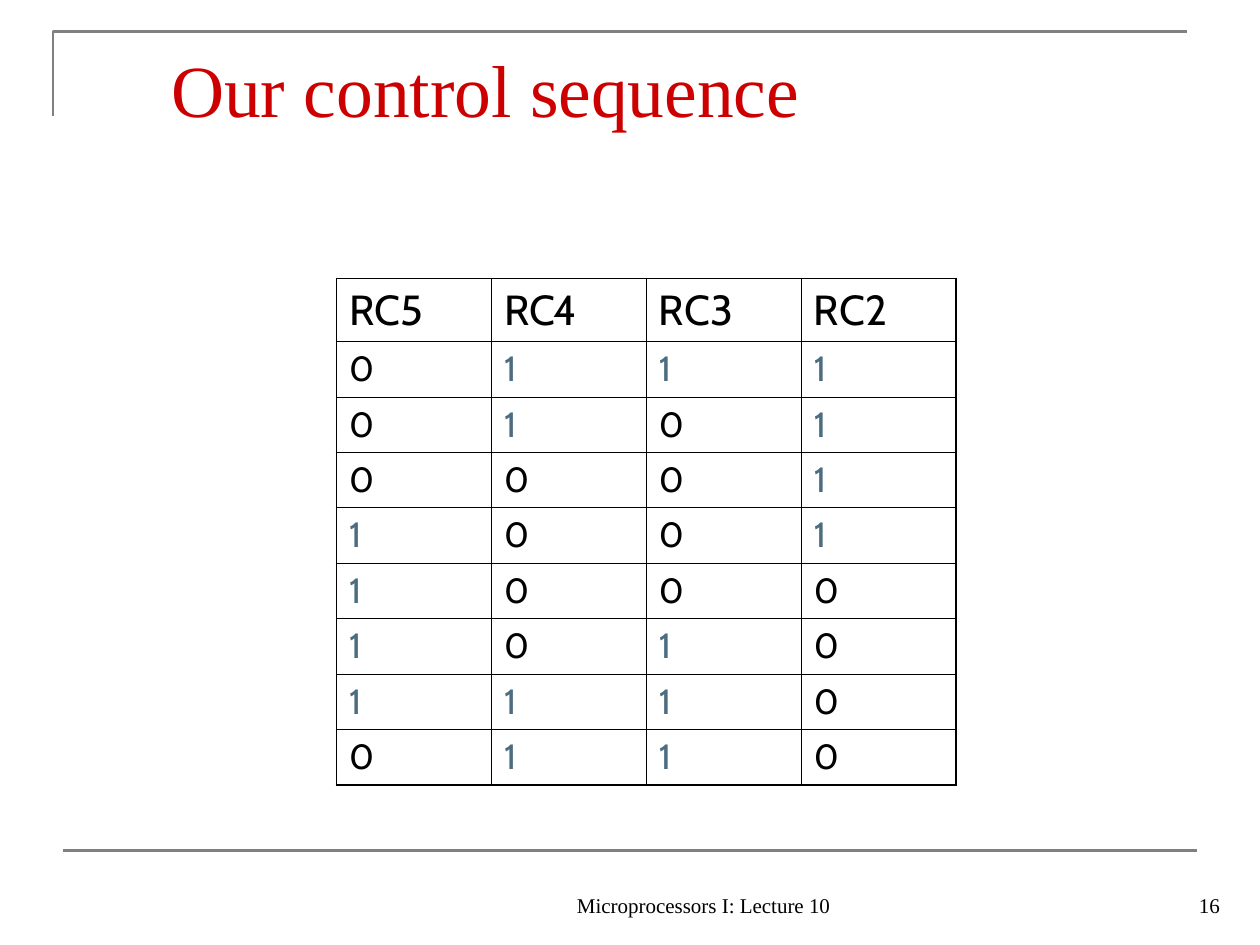
from lxml.etree import SubElement
from pptx import Presentation
from pptx.dml.color import RGBColor
from pptx.enum.shapes import MSO_CONNECTOR
from pptx.enum.text import MSO_ANCHOR, PP_ALIGN
from pptx.oxml.ns import qn
from pptx.util import Inches, Pt

BLACK = RGBColor(0x00, 0x00, 0x00)
GRAY = RGBColor(0x80, 0x80, 0x80)
RED = RGBColor(0xCC, 0x00, 0x00)
STEEL = RGBColor(0x4C, 0x6D, 0x80)

HEADERS = ["RC5", "RC4", "RC3", "RC2"]
SEQUENCE = ["0111", "0101", "0001", "1001", "1000", "1010", "1110", "0110"]


class SlideBuilder:
    """Holds the slide and the style shared by its elements."""

    text_font = "Times New Roman"
    table_font = "Cabin"
    rule_width = Pt(1.5)
    inner_border = Pt(0.45)
    outer_border = Pt(1.08)

    def __init__(self, slide):
        self.slide = slide

    def style(self, para, font_name, size, color):
        para.font.name = font_name
        para.font.size = Pt(size)
        para.font.color.rgb = color

    def text(self, content, left, top, width, height, size, color=BLACK,
             align=PP_ALIGN.LEFT, anchor=MSO_ANCHOR.BOTTOM, margin_top=0.05):
        box = self.slide.shapes.add_textbox(
            Inches(left), Inches(top), Inches(width), Inches(height))
        frame = box.text_frame
        frame.word_wrap = True
        frame.vertical_anchor = anchor
        frame.margin_top = Inches(margin_top)
        para = frame.paragraphs[0]
        para.text = content
        para.alignment = align
        self.style(para, self.text_font, size, color)

    def corner(self, left, top, right, bottom):
        """Draw an open outline along the left and top edges."""
        builder = self.slide.shapes.build_freeform(Inches(left), Inches(bottom))
        builder.add_line_segments(
            [(Inches(left), Inches(top)), (Inches(right), Inches(top))], close=False)
        shape = builder.convert_to_shape()
        shape.shadow.inherit = False
        shape.fill.background()
        shape.line.color.rgb = GRAY
        shape.line.width = self.rule_width

    def rule(self, left, right, y):
        line = self.slide.shapes.add_connector(
            MSO_CONNECTOR.STRAIGHT, Inches(left), Inches(y), Inches(right), Inches(y))
        line.line.color.rgb = GRAY
        line.line.width = self.rule_width
        SubElement(line._element.spPr, qn("a:effectLst"))

    def border(self, cell, side, width):
        properties = cell._tc.get_or_add_tcPr()
        line = SubElement(properties, qn(f"a:ln{side}"), w=str(width))
        fill = SubElement(line, qn("a:solidFill"))
        SubElement(fill, qn("a:srgbClr"), val=str(BLACK))

    def table(self, rows, left, top, column_width, header_height, row_height):
        """Draw a grid with a heavier outer frame; ones are shown in colour."""
        row_count, column_count = len(rows), len(rows[0])
        frame = self.slide.shapes.add_table(
            row_count, column_count, Inches(left), Inches(top),
            Inches(column_width * column_count),
            Inches(header_height + row_height * (row_count - 1)))
        table = frame.table
        table.first_row = table.horz_banding = False
        for column in table.columns:
            column.width = Inches(column_width)
        for r, values in enumerate(rows):
            table.rows[r].height = Inches(row_height if r else header_height)
            for c, value in enumerate(values):
                cell = table.cell(r, c)
                para = cell.text_frame.paragraphs[0]
                para.text = value
                self.style(para, self.table_font, 20 if r else 24,
                           STEEL if value == "1" else BLACK)
                on_frame = {"L": c == 0, "R": c == column_count - 1,
                            "T": r == 0, "B": r == row_count - 1}
                for side, outer in on_frame.items():
                    self.border(cell, side,
                                self.outer_border if outer else self.inner_border)
                cell.fill.background()


def main():
    deck = Presentation()
    deck.slide_width, deck.slide_height = Inches(10), Inches(7.5)
    page = SlideBuilder(deck.slides.add_slide(deck.slide_layouts[6]))

    page.corner(0.42, 0.25, 9.42, 0.92)
    page.rule(0.5, 9.5, 6.75)
    page.text("Microprocessors I: Lecture 10", 4, 6.83, 3.17, 0.5, 12,
              align=PP_ALIGN.CENTER)
    page.text("16", 7.7, 6.83, 2.08, 0.5, 12, align=PP_ALIGN.RIGHT)
    page.text("Our control sequence", 1.26, 0.23, 8.52, 1.6, 42, RED,
              anchor=MSO_ANCHOR.TOP, margin_top=0.12)
    page.table([HEADERS, *SEQUENCE], 2.67, 2.21, column_width=1.23,
               header_height=0.5, row_height=0.44)

    deck.save("out.pptx")


if __name__ == "__main__":
    main()
